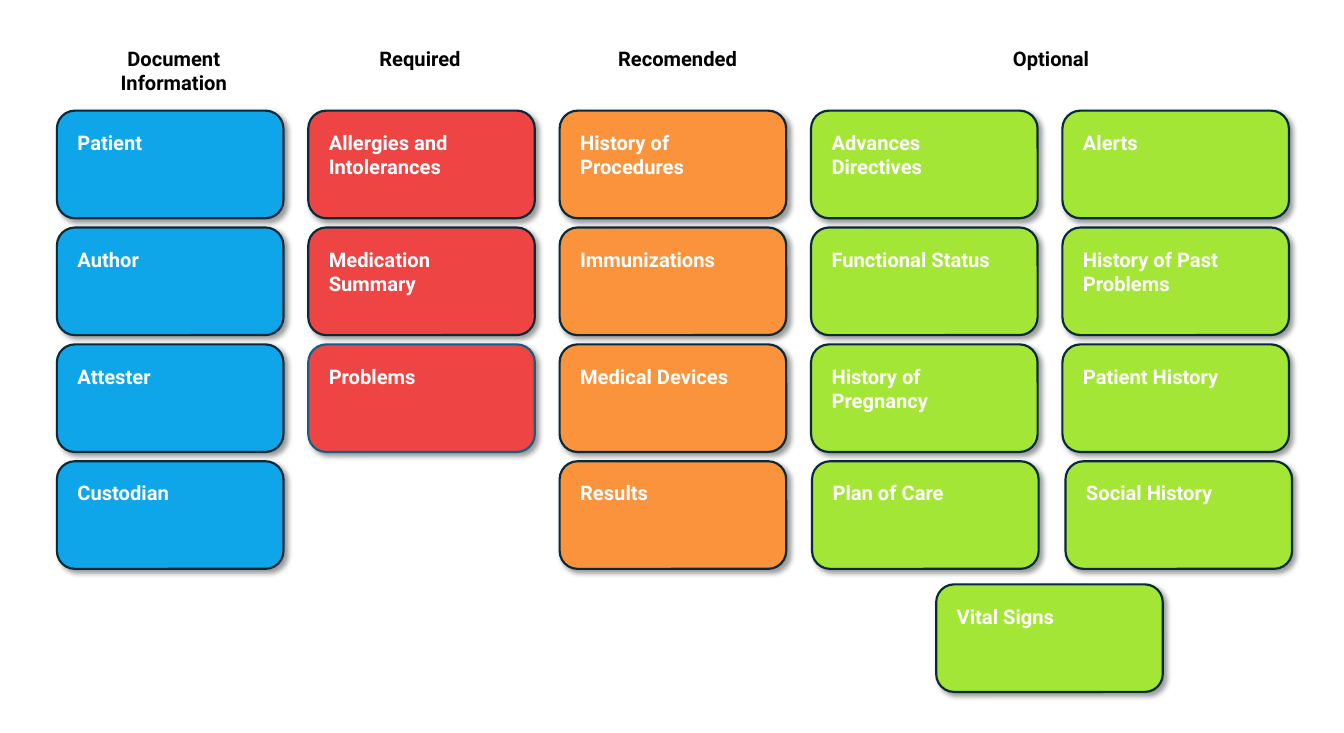
from lxml import etree
from pptx import Presentation
from pptx.dml.color import RGBColor
from pptx.enum.shapes import MSO_SHAPE
from pptx.enum.text import MSO_AUTO_SIZE, PP_ALIGN
from pptx.oxml.ns import qn
from pptx.util import Cm, Inches, Pt

ROUNDED = MSO_SHAPE.ROUNDED_RECTANGLE
GROW = MSO_AUTO_SIZE.SHAPE_TO_FIT_TEXT
LEFT, CENTER = PP_ALIGN.LEFT, PP_ALIGN.CENTER

COLORS = {
    "document": "0EA5E9",
    "required": "EF4444",
    "recommended": "FB923C",
    "optional": "A3E635",
    "outline": "092A39",
    "problems outline": "156082",
    "heading": "000000",
    "label": "FFFFFF",
    "shadow": "000000",
}
FONT = "Roboto"
CARD_W, CARD_H = 2.19, 1.04
COLUMN_STEP, ROW_STEP = 2.43, 1.13
GRID_LEFT, GRID_TOP = 0.55, 1.07
HEADING_TOP, HEADING_W = 0.4, 2.08
LABEL_W = 1.96
ONE_LINE_CHARS = 17
NUDGES = {"Plan of Care": 0.01, "Social History": 0.03}

# heading, heading left, colour, columns of cards
SECTIONS = [
    ("Document Information", 0.64, "document",
     [["Patient", "Author", "Attester", "Custodian"]]),
    ("Required", 3.02, "required",
     [["Allergies and Intolerances", "Medication Summary", "Problems"]]),
    ("Recomended", 5.51, "recommended",
     [["History of Procedures", "Immunizations", "Medical Devices", "Results"]]),
    ("Optional", 9.12, "optional",
     [["Advances Directives", "Functional Status", "History of Pregnancy", "Plan of Care"],
      ["Alerts", "History of Past Problems", "Patient History", "Social History"]]),
]


def rgb(name):
    return RGBColor.from_string(COLORS[name])


def add_shadow(shape):
    """Give the shape a soft shadow towards its lower right."""
    effects = etree.SubElement(shape._element.spPr, qn("a:effectLst"))
    shadow = etree.SubElement(
        effects, qn("a:outerShdw"), blurRad=str(Pt(4)), dist=str(Pt(3)),
        dir="2700000", algn="tl", rotWithShape="0")
    color = etree.SubElement(shadow, qn("a:srgbClr"), val=COLORS["shadow"])
    etree.SubElement(color, qn("a:alpha"), val="40000")


def add_text(slide, text, left, top, width, color, align=LEFT):
    height = 0.57 if len(text) > ONE_LINE_CHARS else 0.34
    box = slide.shapes.add_textbox(
        Inches(left), Inches(top), Inches(width), Inches(height))
    frame = box.text_frame
    frame.word_wrap = True
    frame.auto_size = GROW
    paragraph = frame.paragraphs[0]
    paragraph.alignment = align
    run = paragraph.add_run()
    run.text = text
    run.font.name = FONT
    run.font.size = Pt(14)
    run.font.bold = True
    run.font.color.rgb = rgb(color)


def add_card(slide, label, left, top, color):
    card = slide.shapes.add_shape(
        ROUNDED, Inches(left), Inches(top), Inches(CARD_W), Inches(CARD_H))
    card.fill.solid()
    card.fill.fore_color.rgb = rgb(color)
    card.line.color.rgb = rgb("problems outline" if label == "Problems" else "outline")
    card.line.width = Pt(1.5)
    add_shadow(card)
    add_text(slide, label, left + 0.1, top + 0.14, LABEL_W, "label")


def add_section(slide, left, heading, heading_left, color, columns):
    add_text(slide, heading, heading_left, HEADING_TOP, HEADING_W, "heading", CENTER)
    for column, labels in enumerate(columns):
        for row, label in enumerate(labels):
            add_card(slide, label,
                     left + column * COLUMN_STEP + NUDGES.get(label, 0),
                     GRID_TOP + row * ROW_STEP, color)


def main():
    prs = Presentation()
    prs.slide_width = Cm(33)
    prs.slide_height = Cm(18)
    slide = prs.slides.add_slide(prs.slide_layouts[6])

    left = GRID_LEFT
    for heading, heading_left, color, columns in SECTIONS:
        add_section(slide, left, heading, heading_left, color, columns)
        left += len(columns) * COLUMN_STEP
    add_card(slide, "Vital Signs", 9.05, 5.65, "optional")

    prs.save("out.pptx")


if __name__ == "__main__":
    main()
